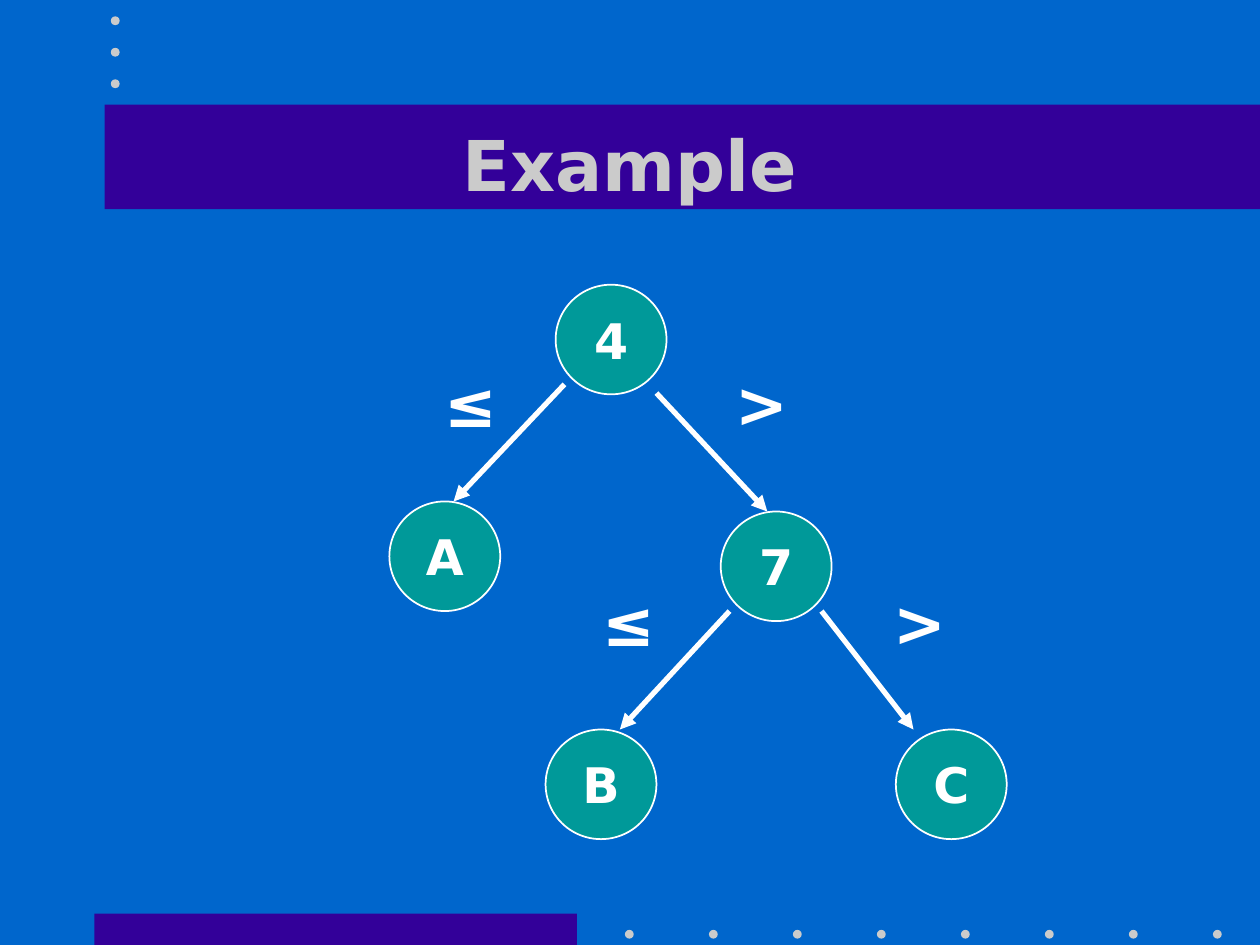
from lxml.etree import SubElement
from pptx import Presentation
from pptx.dml.color import RGBColor
from pptx.enum.shapes import MSO_CONNECTOR, MSO_SHAPE
from pptx.enum.text import MSO_ANCHOR, PP_ALIGN
from pptx.oxml.ns import qn
from pptx.util import Inches, Pt

BLUE = RGBColor(0x00, 0x66, 0xCC)
PURPLE = RGBColor(0x33, 0x00, 0x99)
GRAY = RGBColor(0xCB, 0xCB, 0xCB)
TEAL = RGBColor(0x00, 0x99, 0x99)
WHITE = RGBColor(0xFF, 0xFF, 0xFF)
FONT = "DejaVu Sans"
WIDTH, HEIGHT = 10, 7.5
DOT = 0.07
NODE_WIDTH, NODE_HEIGHT = 0.88, 0.87

# Tree content: positions in inches
NODES = [("4", 4.41, 2.26), ("A", 3.09, 3.98), ("7", 5.72, 4.06),
         ("B", 4.33, 5.79), ("C", 7.11, 5.79)]
ARROWS = [((4.48, 3.05), (3.6, 3.98)), ((5.21, 3.12), (6.09, 4.06)),
          ((5.79, 4.85), (4.92, 5.79)), ((6.52, 4.85), (7.25, 5.79))]
LABELS = [("≤", 3.43, 2.84), (">", 5.74, 2.84),
          ("≤", 4.68, 4.58), (">", 6.99, 4.58)]


def write_text(frame, text, size, color, align):
    frame.text = text
    para = frame.paragraphs[0]
    para.alignment = align
    para.font.name = FONT
    para.font.size = Pt(size)
    para.font.bold = True
    para.font.color.rgb = color


def add_filled(page, kind, left, top, width, height, color):
    shape = page.shapes.add_shape(
        kind, Inches(left), Inches(top), Inches(width), Inches(height))
    shape.shadow.inherit = False
    shape.fill.solid()
    shape.fill.fore_color.rgb = color
    shape.line.fill.background()
    return shape


def add_dot(page, left, top):
    add_filled(page, MSO_SHAPE.OVAL, left, top, DOT, DOT, GRAY)


def add_node(page, text, left, top):
    node = add_filled(page, MSO_SHAPE.OVAL, left, top,
                      NODE_WIDTH, NODE_HEIGHT, TEAL)
    node.line.color.rgb = WHITE
    node.line.width = Pt(1)
    frame = node.text_frame
    frame.word_wrap = False
    frame.vertical_anchor = MSO_ANCHOR.MIDDLE
    write_text(frame, text, 28, WHITE, PP_ALIGN.CENTER)


def add_arrow(page, start, end):
    arrow = page.shapes.add_connector(
        MSO_CONNECTOR.STRAIGHT, *(Inches(value) for value in start + end))
    arrow.line.color.rgb = WHITE
    arrow.line.width = Pt(3)
    SubElement(arrow.line._get_or_add_ln(), qn("a:tailEnd"), type="triangle")
    SubElement(arrow._element.spPr, qn("a:effectLst"))


def add_label(page, text, left, top):
    box = page.shapes.add_textbox(
        Inches(left), Inches(top), Inches(0.62), Inches(0.7))
    box.text_frame.word_wrap = False
    write_text(box.text_frame, text, 36, WHITE, PP_ALIGN.LEFT)


def add_decoration(page):
    # Bottom bar and its row of dots
    add_filled(page, MSO_SHAPE.RECTANGLE, 0.75, HEIGHT - 0.25, 3.83, 0.25, PURPLE)
    for column in range(8):
        add_dot(page, 4.96 + column * 2 / 3, 7.38)
    # Title band and the column of dots above it
    add_filled(page, MSO_SHAPE.RECTANGLE, 0.83, 0.83, WIDTH - 0.83, 0.83, PURPLE)
    for row in range(3):
        add_dot(page, 0.88, 0.13 + row * 0.25)


def set_title(page, text):
    title = page.shapes.title
    title.left, title.top = Inches(0.75), Inches(0.67)
    title.width, title.height = Inches(8.5), Inches(1.25)
    title.text_frame.vertical_anchor = MSO_ANCHOR.MIDDLE
    write_text(title.text_frame, text, 40, GRAY, PP_ALIGN.CENTER)
    # Bring the title in front of the band
    page.shapes._spTree.append(title._element)


def main():
    deck = Presentation()
    deck.slide_width, deck.slide_height = Inches(WIDTH), Inches(HEIGHT)
    page = deck.slides.add_slide(deck.slide_layouts[5])
    page.background.fill.solid()
    page.background.fill.fore_color.rgb = BLUE

    add_decoration(page)
    set_title(page, "Example")

    # Decision tree
    for start, end in ARROWS:
        add_arrow(page, start, end)
    for node in NODES:
        add_node(page, *node)
    for label in LABELS:
        add_label(page, *label)

    deck.save("out.pptx")


if __name__ == "__main__":
    main()
